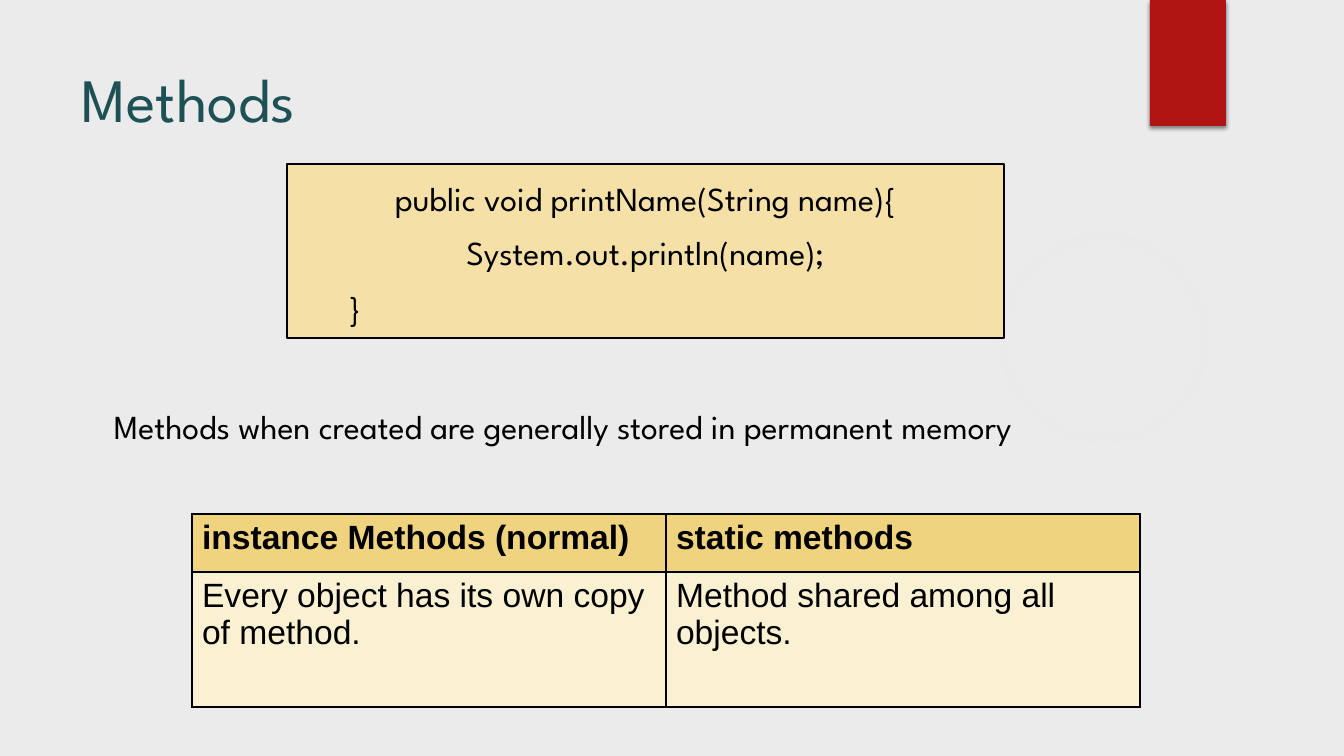
from lxml import etree
from pptx import Presentation
from pptx.dml.color import RGBColor
from pptx.enum.shapes import MSO_SHAPE
from pptx.enum.text import MSO_ANCHOR, PP_ALIGN
from pptx.oxml import parse_xml
from pptx.oxml.ns import qn
from pptx.util import Emu, Pt

CENTER, LEFT = PP_ALIGN.CENTER, PP_ALIGN.LEFT
MIDDLE, TOP = MSO_ANCHOR.MIDDLE, MSO_ANCHOR.TOP
RECTANGLE, OVAL = MSO_SHAPE.RECTANGLE, MSO_SHAPE.OVAL
NAMESPACE = 'xmlns:a="http://schemas.openxmlformats.org/drawingml/2006/main"'
PIXEL = 914400 / 100.8
DISPLAY, BODY = "League Spartan", "Arial"
COLORS = {"background": "EBEBEB", "glow": "F3F3F3", "ribbon": "B01513", "code": "F5E1A8",
          "ink": "000000", "title": "1E5155", "header": "EFD37E", "row": "FAF0D2"}

TITLE = "Methods"
CODE = [("public void printName(String name){", CENTER, 0),
        ("System.out.println(name);", CENTER, 0),
        ("}", LEFT, 51)]
NOTE = "Methods when created are generally stored in permanent memory"
TABLE = [("instance Methods (normal)", "static methods"),
         ("Every object has its own copy of method.", "Method shared among all objects.")]

TITLE_AREA = (72, 50, 1037, 95)
GLOW_AREA = (949, 184, 310, 310)
RIBBON_AREA = (1150, 0, 76, 126)
CODE_AREA = (287, 164, 717, 174)
NOTE_AREA = (104, 401, 1123, 50)
TABLE_LEFT, TABLE_TOP, COLUMN_WIDTH = 192, 514, 474
ROW_HEIGHTS = (58, 135)
GLOW_STOPS = [(0, 7), (36, 6), (69, 0), (100, 0)]


def px(length):
    return Emu(round(length * PIXEL))


def color(name):
    return RGBColor.from_string(COLORS[name])


def style(para, size, font, ink="ink", bold=False):
    for span in para.runs:
        span.font.size, span.font.name, span.font.bold = Pt(size), font, bold
        span.font.color.rgb = color(ink)


def add_shape(kind, area, fill):
    shape = slide.shapes.add_shape(kind, *map(px, area))
    shape.shadow.inherit = False
    shape.fill.solid()
    shape.fill.fore_color.rgb = color(fill)
    shape.line.fill.background()
    return shape


def add_text(area, text, size, ink, anchor):
    box = slide.shapes.add_textbox(*map(px, area))
    frame = box.text_frame
    frame.word_wrap = True
    frame.vertical_anchor = anchor
    frame.text = text
    style(frame.paragraphs[0], size, DISPLAY, ink)


def add_borders(cell):
    properties = cell._tc.get_or_add_tcPr()
    for index, side in enumerate(("lnL", "lnR", "lnT", "lnB")):
        properties.insert(index, parse_xml(
            f'<a:{side} {NAMESPACE} w="{Pt(1)}"><a:solidFill>'
            f'<a:srgbClr val="{COLORS["ink"]}"/></a:solidFill></a:{side}>'))


deck = Presentation()
deck.slide_width, deck.slide_height = px(1344), px(756)
slide = deck.slides.add_slide(deck.slide_layouts[6])
slide.background.fill.solid()
slide.background.fill.fore_color.rgb = color("background")

glow = add_shape(OVAL, GLOW_AREA, "glow")
stops = "".join(f'<a:gs pos="{place * 1000}"><a:srgbClr val="{COLORS["glow"]}">'
                f'<a:alpha val="{alpha * 1000}"/></a:srgbClr></a:gs>' for place, alpha in GLOW_STOPS)
solid = glow._element.spPr.find(qn("a:solidFill"))
solid.getparent().replace(solid, parse_xml(
    f'<a:gradFill {NAMESPACE}><a:gsLst>{stops}</a:gsLst><a:path path="circle">'
    '<a:fillToRect l="50000" t="50000" r="50000" b="50000"/></a:path></a:gradFill>'))

ribbon = add_shape(RECTANGLE, RIBBON_AREA, "ribbon")
effects = ribbon._element.spPr.find(qn("a:effectLst"))
shadow = etree.SubElement(effects, qn("a:outerShdw"), blurRad=str(Pt(3)), dist=str(Pt(2)),
                          dir="5400000", rotWithShape="0")
shade = etree.SubElement(shadow, qn("a:srgbClr"), val=COLORS["ink"])
etree.SubElement(shade, qn("a:alpha"), val="45000")

code = add_shape(RECTANGLE, CODE_AREA, "code")
code.line.color.rgb = color("ink")
code.line.width = Pt(1.5)
frame = code.text_frame
frame.word_wrap = True
frame.vertical_anchor = MIDDLE
frame.text = "\n".join(line for line, _, _ in CODE)
for index, (para, (_, alignment, indent)) in enumerate(zip(frame.paragraphs, CODE)):
    para.alignment = alignment
    para.line_spacing = 1.07
    para.space_before = Pt(8 if index else 0)
    para._p.get_or_add_pPr().set("marL", str(px(indent)))
    style(para, 24, DISPLAY)

add_text(NOTE_AREA, NOTE, 24, "ink", TOP)

table = slide.shapes.add_table(len(TABLE), len(TABLE[0]), px(TABLE_LEFT), px(TABLE_TOP),
                               px(COLUMN_WIDTH * len(TABLE[0])), px(sum(ROW_HEIGHTS))).table
for column in table.columns:
    column.width = px(COLUMN_WIDTH)
for row, height, texts, fill in zip(table.rows, ROW_HEIGHTS, TABLE, ("header", "row")):
    row.height = px(height)
    for cell, text in zip(row.cells, texts):
        cell.text = text
        cell.fill.solid()
        cell.fill.fore_color.rgb = color(fill)
        style(cell.text_frame.paragraphs[0], 24, BODY, bold=fill == "header")
        add_borders(cell)

add_text(TITLE_AREA, TITLE, 44, "title", MIDDLE)

deck.save("out.pptx")
